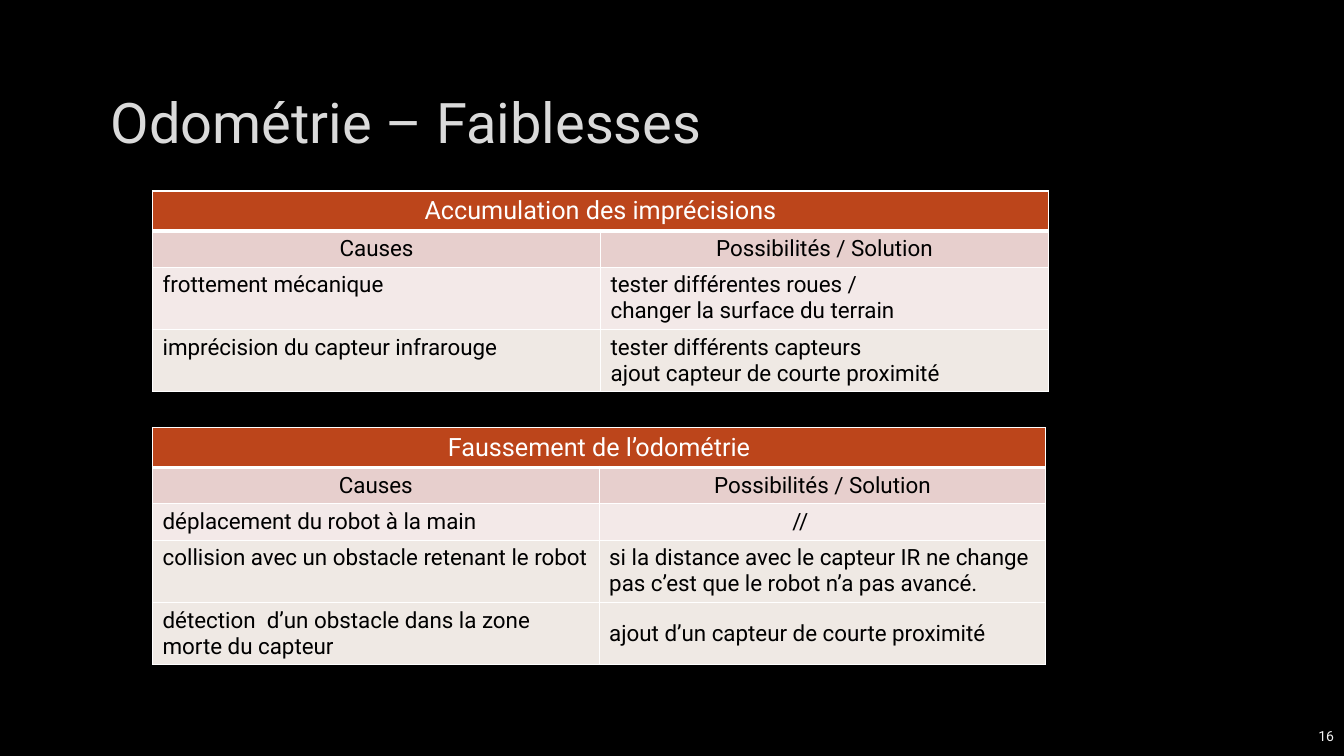
import pptx
import pptx.dml.color
import pptx.enum.text
import pptx.oxml
import pptx.oxml.ns
import pptx.util

Pt = pptx.util.Pt
ALIGN = pptx.enum.text.PP_ALIGN
ANCHOR = pptx.enum.text.MSO_ANCHOR

FONT = "Roboto"
COLORS = {
    "background": "000000",
    "title": "DADADA",
    "number": "F2F2F2",
    "header": "BC451B",
    "subheader": "E7CFCD",
    "first_row": "F3E9E8",
    "row": "EFE9E4",
    "light": "FFFFFF",
    "dark": "000000",
}
SUBHEADER = ("Causes", "Possibilités / Solution")
HEADER_HEIGHT, SUBHEADER_HEIGHT = 28, 26
LINE, HEADER_LINE = 1, 3


def rgb(name):
    return pptx.dml.color.RGBColor.from_string(COLORS[name])


def write(frame, text, size, color, align=ALIGN.LEFT):
    frame.text = text
    for para in frame.paragraphs:
        para.alignment = align
        for span in para.runs:
            span.font.size = Pt(size)
            span.font.name = FONT
            span.font.bold = False
            span.font.color.rgb = rgb(color)


def add_title(page, text):
    title = page.shapes.title
    title.left, title.top, title.width, title.height = Pt(72), Pt(48.5), Pt(815), Pt(76)
    write(title.text_frame, text, 40, "title")
    title.text_frame.vertical_anchor = ANCHOR.MIDDLE
    title.text_frame.auto_size = pptx.enum.text.MSO_AUTO_SIZE.NONE


def add_page_number(page, text):
    box = page.shapes.add_textbox(Pt(901), Pt(511), Pt(59), Pt(29))
    box.text_frame.word_wrap = True
    box.text_frame.vertical_anchor = ANCHOR.MIDDLE
    write(box.text_frame, text, 10, "number", ALIGN.RIGHT)


def set_borders(cell, top, bottom):
    """Draw white borders; only the top and bottom widths vary."""
    properties = cell._tc.get_or_add_tcPr()
    sides = (("lnL", LINE), ("lnR", LINE), ("lnT", top), ("lnB", bottom))
    for position, (side, width) in enumerate(sides):
        border = pptx.oxml.parse_xml(
            f'<a:{side} {pptx.oxml.ns.nsdecls("a")} w="{int(Pt(width))}">'
            f'<a:solidFill><a:srgbClr val="{COLORS["light"]}"/></a:solidFill>'
            f'</a:{side}>'
        )
        properties.insert(position, border)


def style_row(cells, fill, top=LINE, bottom=LINE):
    for cell in cells:
        cell.fill.solid()
        cell.fill.fore_color.rgb = rgb(fill)
        set_borders(cell, top, bottom)


def add_weakness_table(page, top, column_width, heading, rows):
    """Add a heading, a column header and rows of (height, cause, solution)."""
    heights = [HEADER_HEIGHT, SUBHEADER_HEIGHT] + [row[0] for row in rows]
    frame = page.shapes.add_table(
        len(heights), 2, Pt(109), Pt(top), Pt(2 * column_width), Pt(sum(heights)))
    table = frame.table
    table.first_row = table.horz_banding = False
    for column in table.columns:
        column.width = Pt(column_width)
    for row, height in zip(table.rows, heights):
        row.height = Pt(height)

    style_row(table.rows[0].cells, "header", bottom=HEADER_LINE)
    style_row(table.rows[1].cells, "subheader", top=HEADER_LINE)
    table.cell(0, 0).merge(table.cell(0, 1))
    write(table.cell(0, 0).text_frame, heading, 18, "light", ALIGN.CENTER)
    for column, text in enumerate(SUBHEADER):
        write(table.cell(1, column).text_frame, text, 16, "dark", ALIGN.CENTER)
    for index, (_, *texts) in enumerate(rows, start=2):
        style_row(table.rows[index].cells, "first_row" if index == 2 else "row")
        for column, text in enumerate(texts):
            write(table.cell(index, column).text_frame, text, 16, "dark")
    return table


def main():
    deck = pptx.Presentation()
    deck.slide_width, deck.slide_height = Pt(960), Pt(540)
    page = deck.slides.add_slide(deck.slide_layouts[5])
    page.background.fill.solid()
    page.background.fill.fore_color.rgb = rgb("background")

    add_title(page, "Odométrie – Faiblesses")
    add_weakness_table(page, 136.5, 320, "Accumulation des imprécisions", [
        (44.5, "frottement mécanique",
         "tester différentes roues /\nchanger la surface du terrain"),
        (44.5, "imprécision du capteur infrarouge",
         "tester différents capteurs\najout capteur de courte proximité"),
    ])
    distortion = add_weakness_table(page, 305.5, 319, "Faussement de l’odométrie", [
        (26, "déplacement du robot à la main", "//"),
        (44.5, "collision avec un obstacle retenant le robot",
         "si la distance avec le capteur IR ne change pas c’est que le robot n’a pas avancé."),
        (44.5, "détection  d’un obstacle dans la zone morte du capteur",
         "ajout d’un capteur de courte proximité"),
    ])
    distortion.cell(2, 1).margin_left = Pt(138)
    distortion.cell(4, 1).vertical_anchor = ANCHOR.MIDDLE
    add_page_number(page, "16")
    deck.save("out.pptx")


if __name__ == "__main__":
    main()
